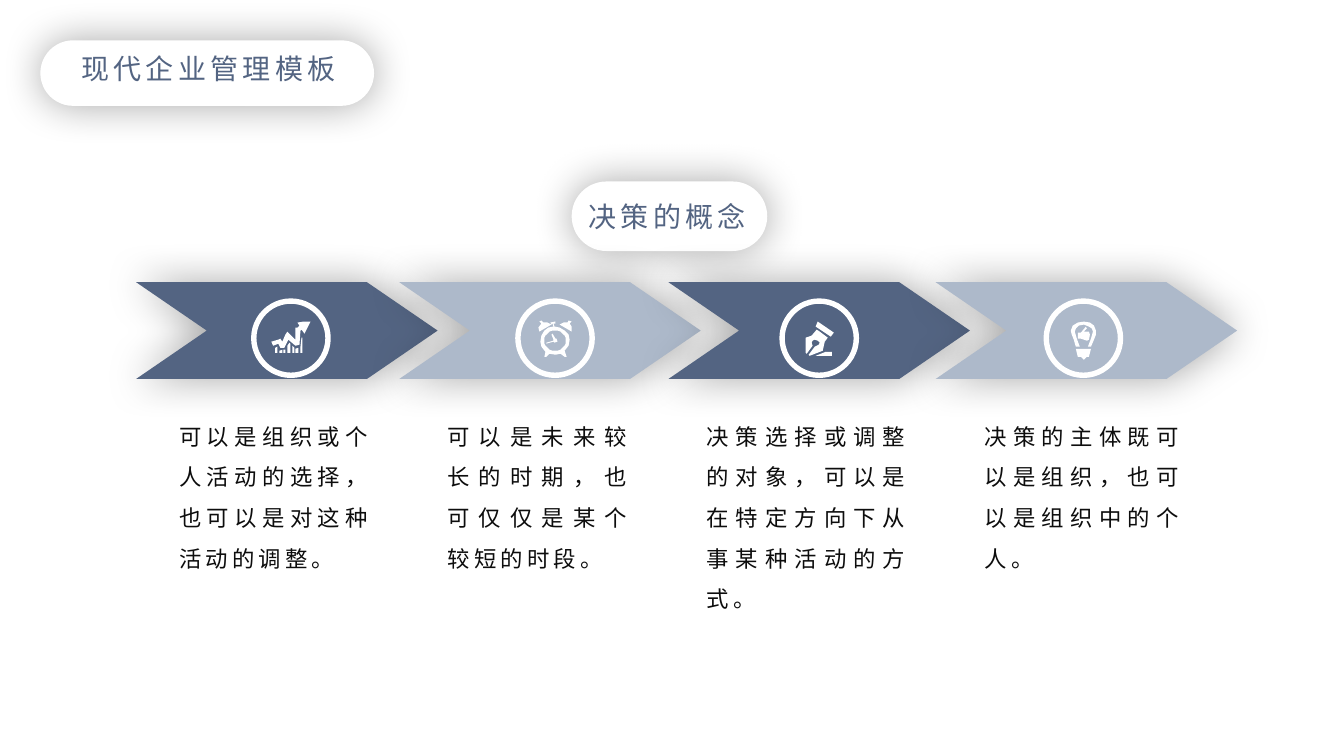
from math import cos, pi, sin

from lxml.etree import SubElement
from pptx import Presentation
from pptx.dml.color import RGBColor
from pptx.enum.shapes import MSO_SHAPE as Shape
from pptx.enum.text import MSO_AUTO_SIZE as AutoSize, PP_ALIGN as Align
from pptx.oxml.ns import qn
from pptx.util import Inches, Pt

WHITE = RGBColor(0xFF, 0xFF, 0xFF)
SLATE = RGBColor(0x53, 0x64, 0x82)
MIST = RGBColor(0xAD, 0xB9, 0xCA)
INK = RGBColor(0x0D, 0x0D, 0x0D)

HEADING = {"size": Pt(20), "color": SLATE}
BODY = {"size": Pt(16), "color": INK}
JUSTIFIED = {"alignment": Align.JUSTIFY, "line_spacing": Pt(29)}


def circle(x, y, radius, steps=24):
    angles = [2 * pi * step / steps for step in range(steps)]
    return [(x + radius * cos(a), y - radius * sin(a)) for a in angles]


# Icon outlines, in hundredths of an inch from the corner of their ring
GROWTH = [
    [(59, 23), (56, 29), (53, 35), (50, 31), (49, 32), (48, 46), (44, 47),
     (37, 41), (33, 49), (29, 49), (27, 45), (22, 47), (20, 43), (27, 41),
     (29, 40), (31, 43), (34, 36), (36, 33), (38, 35), (44, 41), (44, 29),
     (46, 29), (48, 27), (46, 24), (52, 23)],
    [(24, 54), (26, 54), (26, 48), (24, 49)],
    [(28, 54), (31, 54), (31, 51), (28, 52)],
    [(32, 54), (34, 54), (34, 51), (32, 51)],
    [(36, 54), (39, 54), (39, 45), (38, 44), (36, 47)],
    [(41, 54), (43, 54), (43, 49), (41, 47)],
    [(44, 54), (47, 54), (47, 49), (44, 50)],
    [(49, 54), (51, 54), (51, 39), (50, 39), (49, 48)],
]
CLOCK = [
    [(30, 53), (26, 48), (25, 43), (26, 37), (29, 32), (33, 29), (38, 28),
     (37, 25), (36, 26), (35, 24), (40, 23), (40, 25), (38, 25), (39, 28),
     (44, 29), (49, 32), (53, 36), (54, 41), (53, 47), (49, 52), (51, 58),
     (49, 58), (45, 55), (40, 56), (34, 55), (31, 58), (29, 58)],
    circle(39.5, 42, 10.5),
    [(38, 41), (38, 42), (31, 44), (31, 45), (38, 43), (39, 44), (42, 43),
     (41, 40), (40, 40), (37, 35), (36, 36)],
    [(52, 24), (48, 24), (44, 26), (56, 33), (56, 28), (54, 25), (56, 23), (53, 22)],
    [(28, 24), (26, 22), (24, 23), (26, 25), (23, 29), (24, 33), (36, 26), (32, 24)],
]
PEN = [
    [(27, 55), (26, 54), (26, 39), (32, 37), (37, 31), (40, 33), (48, 39),
     (45, 43), (43, 52), (30, 57), (29, 56), (35, 48), (39, 46), (40, 44),
     (38, 42), (35, 41), (33, 42), (32, 44), (33, 47)],
    [(36, 57), (52, 57), (52, 53), (46, 53)],
    [(51, 38), (54, 34), (38, 23), (36, 28)],
]
BULB = [
    [(32, 50), (47, 50), (45, 58), (43, 58), (40, 61), (37, 58), (34, 58)],
    [(45, 33), (46, 36), (45, 41), (43, 42), (37, 40), (34, 40), (34, 34),
     (37, 34), (42, 28), (43, 30), (40, 33)],
    [(32, 48), (36, 48), (33, 40), (31, 33), (32, 30), (35, 27), (40, 26),
     (45, 28), (48, 30), (49, 33), (47, 40), (44, 48), (47, 48), (50, 41),
     (52, 36), (52, 32), (50, 27), (46, 24), (40, 23), (34, 24), (29, 27),
     (27, 32), (28, 36), (30, 41)],
]

# Each step: arrow left, arrow colour, icon, text left, text width, text height, text
STEPS = [
    (1.35, SLATE, GROWTH, 1.68, 2.11, 1.73,
     "可以是组织或个人活动的选择，也可以是对这种活动的调整。"),
    (3.96, MIST, CLOCK, 4.34, 2.02, 1.73,
     "可以是未来较长的时期，也可仅仅是某个较短的时段。"),
    (6.63, SLATE, PEN, 6.91, 2.21, 2.13,
     "决策选择或调整的对象，可以是在特定方向下从事某种活动的方式。"),
    (9.28, MIST, BULB, 9.67, 2.16, 1.73,
     "决策的主体既可以是组织，也可以是组织中的个人。"),
]
RING_LEFT, RING_TOP, RING_STEP, RING_SIZE = 2.49, 2.96, 2.62, 0.79


class Deck:
    font = "Noto Sans CJK SC"
    spacing = 300

    def __init__(self):
        self.prs = Presentation()
        self.prs.slide_width, self.prs.slide_height = Inches(13.33), Inches(7.5)
        self.slide = self.prs.slides.add_slide(self.prs.slide_layouts[6])

    def paint(self, shape, color):
        shape.shadow.inherit = False
        shape.fill.solid()
        shape.fill.fore_color.rgb = color
        shape.line.fill.background()

    def shape(self, kind, box, color, adjust, glow=False):
        shape = self.slide.shapes.add_shape(kind, *map(Inches, box))
        shape.adjustments[0] = adjust
        self.paint(shape, color)
        if glow:
            effects = shape._element.spPr.find(qn("a:effectLst"))
            shadow = SubElement(effects, qn("a:outerShdw"), blurRad=str(Pt(30)),
                                dist="0", dir="0", algn="ctr", rotWithShape="0")
            black = SubElement(shadow, qn("a:srgbClr"), val="000000")
            SubElement(black, qn("a:alpha"), val="35000")

    def icon(self, outlines, left, top):
        first, *others = outlines
        builder = self.slide.shapes.build_freeform(*first[0], scale=Inches(0.01))
        builder.add_line_segments(first[1:])
        for outline in others:
            builder.move_to(*outline[0])
            builder.add_line_segments(outline[1:])
        self.paint(builder.convert_to_shape(Inches(left), Inches(top)), WHITE)

    def text(self, words, box, style, layout=None):
        frame = self.slide.shapes.add_textbox(*map(Inches, box)).text_frame
        frame.word_wrap = True
        frame.auto_size = AutoSize.SHAPE_TO_FIT_TEXT
        paragraph = frame.paragraphs[0]
        for name, value in (layout or {}).items():
            setattr(paragraph, name, value)
        run = paragraph.add_run()
        run.text = words
        run.font.size = style["size"]
        run.font.color.rgb = style["color"]
        run.font.name = self.font
        props = run._r.get_or_add_rPr()
        props.set("lang", "zh-CN")
        props.set("spc", str(self.spacing))
        SubElement(props, qn("a:ea"), typeface=self.font)

    def pill(self, box, words, words_box):
        self.shape(Shape.ROUNDED_RECTANGLE, box, WHITE, 0.5, glow=True)
        self.text(words, words_box, HEADING)


def main():
    deck = Deck()

    # Page title and section heading
    deck.pill((0.4, 0.4, 3.31, 0.65), "现代企业管理模板", (0.71, 0.46, 2.81, 0.44))
    deck.pill((5.67, 1.8, 1.94, 0.69), "决策的概念", (5.74, 1.93, 1.83, 0.44))

    # Arrow band with the explanation under each arrow
    for left, color, _, text_left, width, height, words in STEPS:
        deck.shape(Shape.CHEVRON, (left, 2.8, 2.99, 0.96), color, 0.73, glow=True)
        deck.text(words, (text_left, 4.01, width, height), BODY, JUSTIFIED)

    # Ringed icons at equal steps
    for index, step in enumerate(STEPS):
        left = RING_LEFT + index * RING_STEP
        deck.shape(Shape.DONUT, (left, RING_TOP, RING_SIZE, RING_SIZE), WHITE, 0.068)
        deck.icon(step[2], left, RING_TOP)

    deck.prs.save("out.pptx")


if __name__ == "__main__":
    main()
